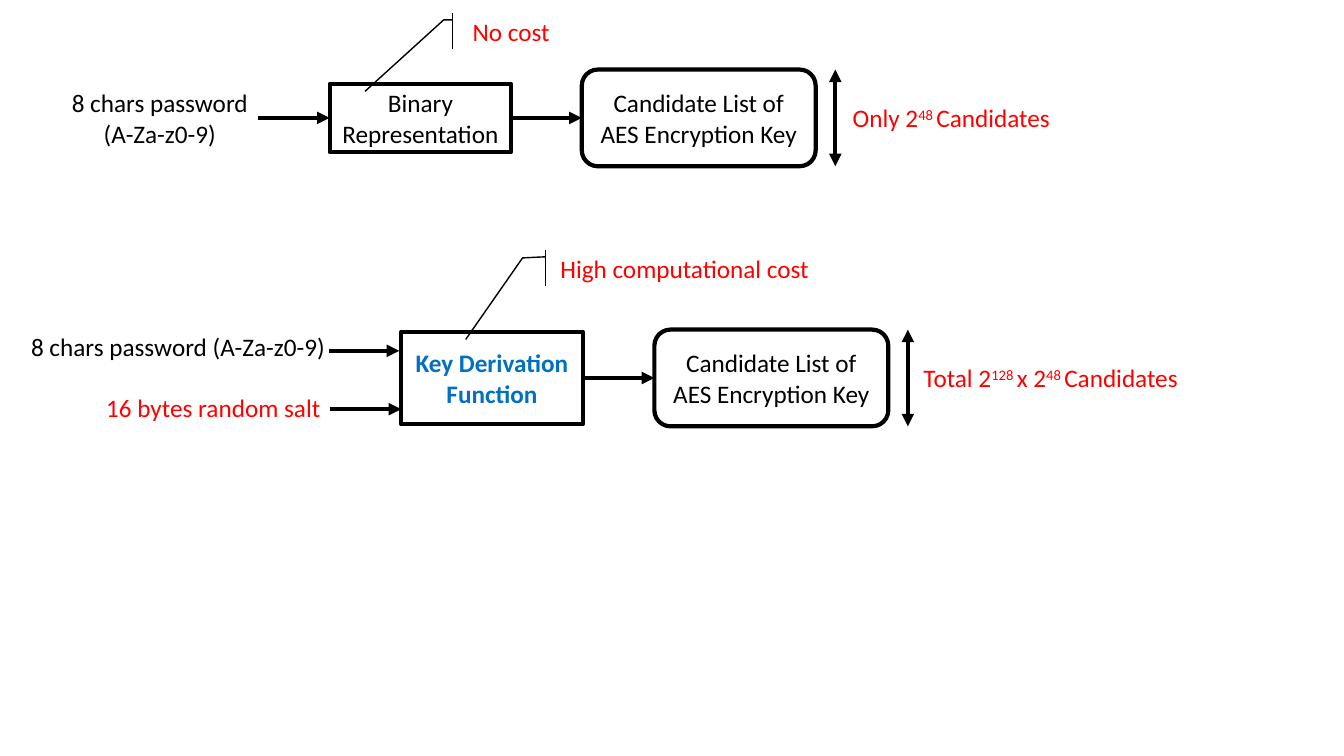
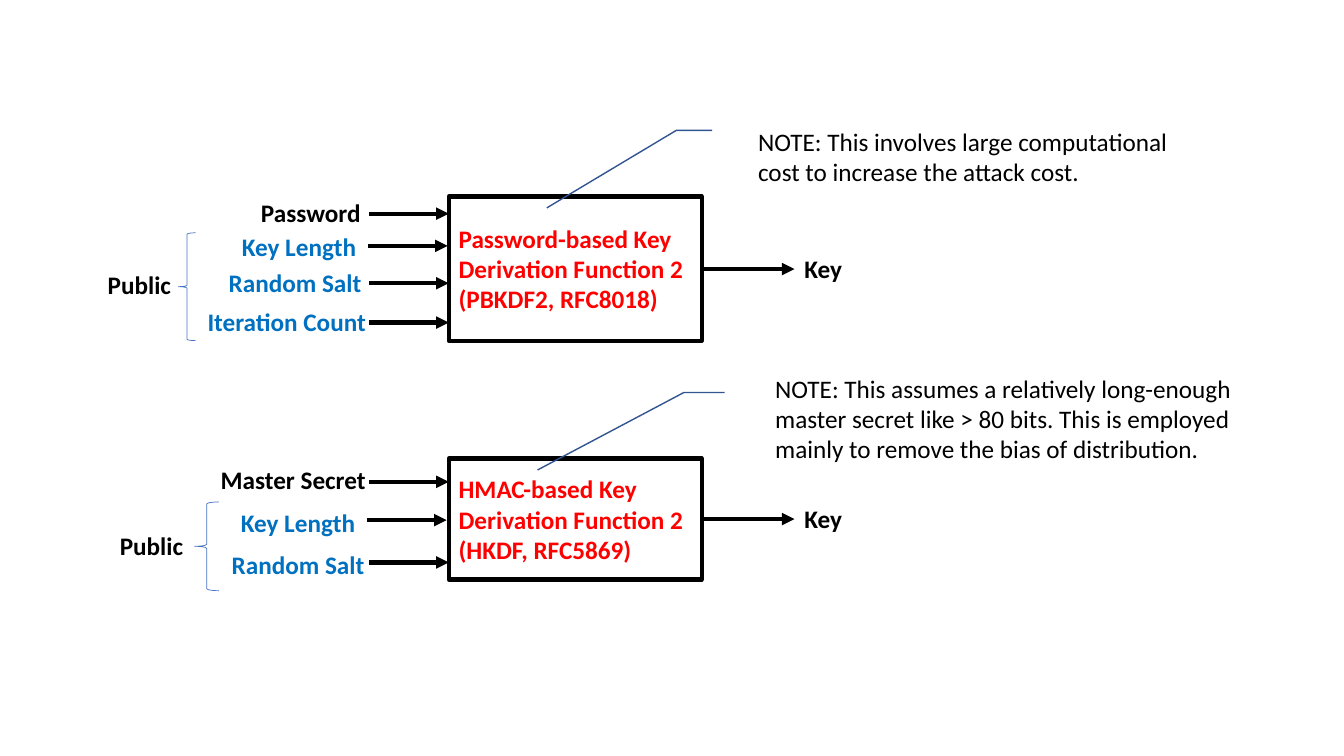
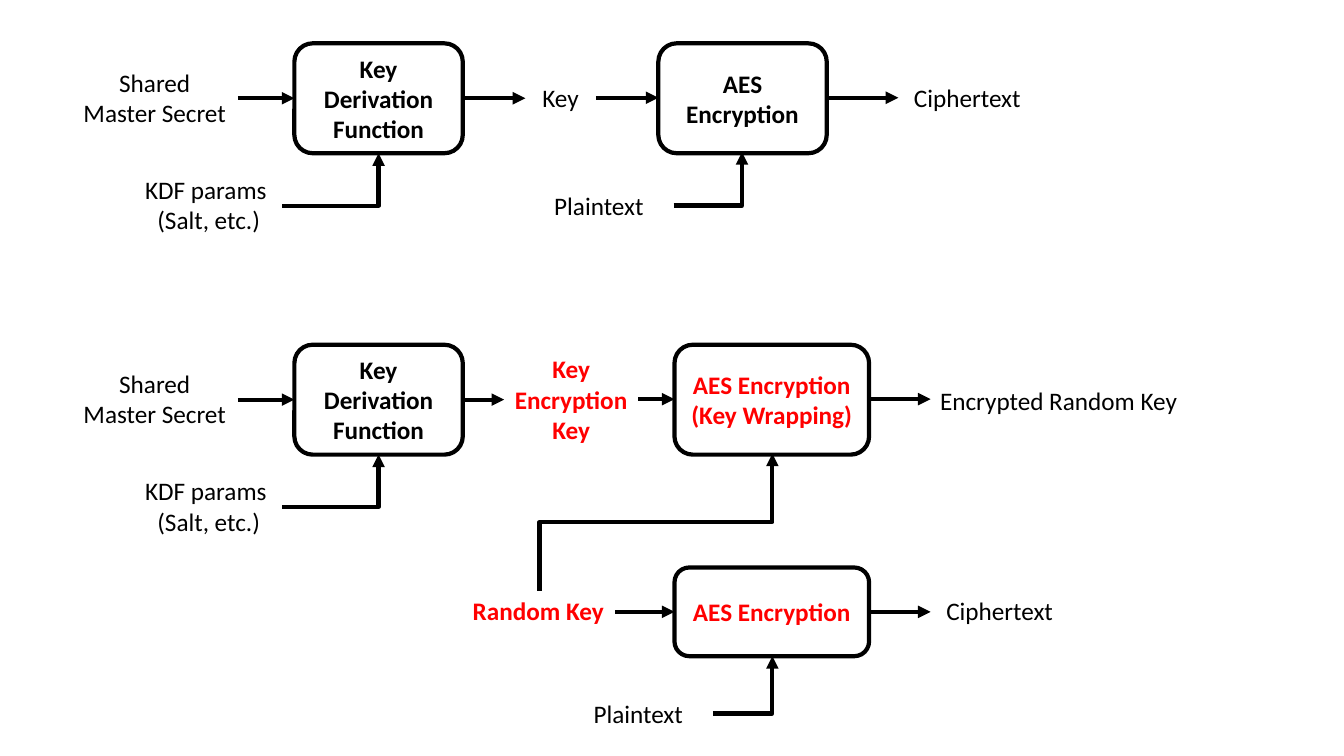
"""Build three slides of diagrams about deriving and wrapping encryption keys."""
from dataclasses import dataclass
from typing import Optional, Union

import lxml.etree
import pptx
import pptx.dml.color
import pptx.enum.shapes
import pptx.enum.text
import pptx.oxml.ns
import pptx.util

SHAPE = pptx.enum.shapes.MSO_SHAPE
CONNECTOR = pptx.enum.shapes.MSO_CONNECTOR
LEFT = pptx.enum.text.PP_ALIGN.LEFT
CENTER = pptx.enum.text.PP_ALIGN.CENTER
HEIGHT = pptx.util.Inches(7.5)
WIDTH = pptx.util.Inches(13.33)
ROWS = 75


@dataclass(frozen=True)
class Theme:
    """Colours, type and line weights of the deck."""

    ink: str = "000000"
    alert: str = "FF0000"
    accent: str = "0070C0"
    paper: str = "FFFFFF"
    leader: str = "325491"
    brace: str = "4472C4"
    font: str = "Calibri"
    size: float = 18
    heavy: float = 3
    thin: float = 1
    hair: float = 0.5


THEME = Theme()


@dataclass(frozen=True)
class Node:
    """A shape, or a text box where no shape is given, in grid steps."""

    x: float
    y: float
    w: float
    h: float
    text: str = ""
    shape: Optional[SHAPE] = None
    color: str = THEME.ink
    bold: bool = False
    align: pptx.enum.text.PP_ALIGN = CENTER
    wrap: bool = True
    fill: str = ""
    line: str = THEME.ink
    weight: float = THEME.heavy
    adj: tuple[float, ...] = ()


@dataclass(frozen=True)
class Arrow:
    """An arrow in grid steps; bends is the number of corners."""

    x1: float
    y1: float
    x2: float
    y2: float
    both: bool = False
    bends: int = 0


@dataclass(frozen=True)
class Feed:
    """A labelled input of a key derivation function."""

    x: float
    y: float
    w: float
    text: str
    arrow_y: float
    color: str = THEME.accent
    shift: float = 0
    wrap: bool = False


Item = Union[Node, Arrow]


def grid(*steps: float) -> list[int]:
    """Turn grid steps into slide lengths."""
    return [round(step * HEIGHT / ROWS) for step in steps]


def rgb(color: str) -> pptx.dml.color.RGBColor:
    """Give the colour object of a hex value."""
    return pptx.dml.color.RGBColor.from_string(color)


def write(tf: pptx.text.text.TextFrame, node: Node) -> None:
    """Write text where ^ encloses superscript and a vertical tab breaks a line."""
    style = {"name": THEME.font, "size": pptx.util.Pt(THEME.size), "bold": node.bold}
    for i, paragraph in enumerate(node.text.split("\n")):
        p = tf.add_paragraph() if i else tf.paragraphs[0]
        p.alignment = node.align
        for j, row in enumerate(paragraph.split("\v")):
            if j:
                p.add_line_break()
            for k, piece in enumerate(row.split("^")):
                r = p.add_run()
                r.text = piece
                for key, value in style.items():
                    setattr(r.font, key, value)
                r.font.color.rgb = rgb(node.color)
                if k % 2:
                    r._r.get_or_add_rPr().set("baseline", "30000")


def draw_node(s: pptx.slide.Slide, node: Node) -> None:
    """Draw a shape or a text box."""
    box = grid(node.x, node.y, node.w, node.h)
    if node.shape is None:
        sp = s.shapes.add_textbox(*box)
        frame = {"auto_size": pptx.enum.text.MSO_AUTO_SIZE.SHAPE_TO_FIT_TEXT}
    else:
        sp = s.shapes.add_shape(node.shape, *box)
        sp.shadow.inherit = False
        sp.line.color.rgb = rgb(node.line)
        sp.line.width = pptx.util.Pt(node.weight)
        if node.fill:
            sp.fill.solid()
            sp.fill.fore_color.rgb = rgb(node.fill)
        else:
            sp.fill.background()
        for i, value in enumerate(node.adj):
            sp.adjustments[i] = value
        frame = {"vertical_anchor": pptx.enum.text.MSO_ANCHOR.MIDDLE}
    if node.text:
        for key, value in {"word_wrap": node.wrap, **frame}.items():
            setattr(sp.text_frame, key, value)
        write(sp.text_frame, node)


def draw_arrow(s: pptx.slide.Slide, arrow: Arrow) -> None:
    """Draw a straight arrow, or one with one or two corners."""
    ends = (arrow.x1, arrow.y1, arrow.x2, arrow.y2)
    if arrow.bends == 2:
        cx, cy = (arrow.x1 + arrow.x2) / 2, (arrow.y1 + arrow.y2) / 2
        dx, dy = abs(arrow.x2 - arrow.x1) / 2, abs(arrow.y2 - arrow.y1) / 2
        ends = (cx + dy, cy + dx, cx - dy, cy - dx)
    kind = CONNECTOR.ELBOW if arrow.bends else CONNECTOR.STRAIGHT
    c = s.shapes.add_connector(kind, *grid(*ends))
    c.line.color.rgb = rgb(THEME.ink)
    c.line.width = pptx.util.Pt(THEME.heavy)
    qn = pptx.oxml.ns.qn
    props = c._element.spPr
    if arrow.bends == 1:
        props.find(qn("a:prstGeom")).set("prst", "bentConnector2")
    if arrow.bends == 2:
        props.find(qn("a:xfrm")).set("rot", str(90 * 60000))
    for tag in ("a:headEnd", "a:tailEnd") if arrow.both else ("a:tailEnd",):
        lxml.etree.SubElement(props.find(qn("a:ln")), qn(tag), type="triangle")
    lxml.etree.SubElement(props, qn("a:effectLst"))


def label(x: float, y: float, w: float, text: str, h: float = 4, **style) -> Node:
    """Describe a text box."""
    return Node(x, y, w, h, text, **style)


def rounded(x: float, y: float, w: float, h: float, text: str, color: str = THEME.ink) -> Node:
    """Describe a white rounded box with bold text."""
    return Node(x, y, w, h, text, SHAPE.ROUNDED_RECTANGLE, color, True, fill=THEME.paper)


def candidates(x: float, y: float, count: Node) -> list[Item]:
    """Describe a list of candidate keys with its extent and count."""
    w, h, gap = 23.2, 9.6, 1.95
    return [
        Node(x, y, w, h, "Candidate List of AES Encryption Key", SHAPE.ROUNDED_RECTANGLE),
        count,
        Arrow(x + w + gap, y, x + w + gap, y + h, both=True),
    ]


def cost(x: float, y: float, w: float, text: str, adj: tuple[float, ...]) -> Node:
    """Describe a red remark with an accent bar and a leader."""
    return Node(x, y, w, 3.6, text, SHAPE.LINE_CALLOUT_2_ACCENT_BAR, THEME.alert,
                weight=THEME.thin, adj=adj)


def function_panel(y: float, h: float, name: str, feeds: list[Feed], key_y: float,
                   note: Node, brace: Node, public: tuple[float, float]) -> list[Item]:
    """Describe a key derivation function with its inputs, key and note."""
    x, w, run = 44.5, 25.1, 7.9
    bold = {"bold": True, "align": LEFT}
    items: list[Item] = [Node(x, y, w, h, name, SHAPE.RECTANGLE, THEME.alert, **bold)]
    for f in feeds:
        tip = x - f.shift
        items += [
            Arrow(tip - run, f.arrow_y, tip, f.arrow_y),
            label(f.x, f.y, f.w, f.text, color=f.color, wrap=f.wrap, **bold),
        ]
    return items + [
        label(78.8, key_y - 2.1, 5.8, "Key", wrap=False, **bold),
        Arrow(x + w, key_y, 78.8, key_y),
        note,
        brace,
        label(*public, 8.3, "Public", wrap=False, **bold),
    ]


def note(x: float, y: float, w: float, text: str) -> Node:
    """Describe a note with a leader."""
    return Node(x, y, w, 8.2, text, SHAPE.LINE_CALLOUT_2_NO_BORDER, align=LEFT,
                line=THEME.leader, weight=THEME.thin)


def brace(x: float, y: float, w: float, h: float) -> Node:
    """Describe the brace that gathers public inputs."""
    return Node(x, y, w, h, shape=SHAPE.LEFT_BRACE, line=THEME.brace, weight=THEME.hair)


def derivation(y: float, key_x: float) -> list[Item]:
    """Describe a derivation from a shared secret that ends at key_x."""
    x, w, h = 29.2, 16.7, 10.9
    mid = y + h / 2
    return [
        label(7, y + 1.85, 16.7, "Shared Master Secret", 7.1),
        rounded(x, y, w, h, "Key Derivation Function"),
        Arrow(23.6, mid, x, mid),
        Arrow(x + w, mid, key_x, mid),
        Arrow(28, y + 16.1, x + w / 2, y + h, bends=1),
        label(13.3, y + 12.5, 14.8, "KDF params \n(Salt, etc.)", 7.1, wrap=False),
    ]


def plaintext(x: float, y: float, tip_x: float, tip_y: float) -> list[Item]:
    """Describe the plaintext that enters an encryption box from below."""
    w = 14.8
    return [label(x, y, w, "Plaintext"), Arrow(x + w, y + 2, tip_x, tip_y, bends=1)]


SLIDES: list[list[Item]] = [
    [
        *candidates(57.7, 6.9, label(83.3, 9.7, 22.1, "Only 2^48 ^Candidates",
                                     color=THEME.alert, wrap=False)),
        Node(32.7, 8.3, 18, 6.8, "Binary Representation", SHAPE.RECTANGLE),
        Arrow(50.7, 11.7, 57.7, 11.7),
        label(6, 8.2, 19.7, "8 chars password\v(A-Za-z0-9)", 7.1, wrap=False),
        Arrow(25.6, 11.7, 32.7, 11.7),
        cost(45.7, 1.3, 10, "No cost", (0.19, -0.08, 0.19, -0.17, 2.16, -0.95)),
        *candidates(64.9, 32.7, label(90.1, 35.5, 28.2, "Total 2^128 ^x 2^48 ^Candidates",
                                      color=THEME.alert, wrap=False)),
        Node(39.8, 32.9, 18, 9.2, "Key Derivation Function", SHAPE.RECTANGLE,
             THEME.accent, True),
        Arrow(57.7, 37.5, 64.9, 37.5),
        label(0.6, 32.4, 34.1, "8 chars password (A-Za-z0-9)"),
        Arrow(32.6, 34.8, 39.6, 34.8),
        cost(53.8, 24.8, 28.2, "High computational cost",
             (0.19, 0.01, 0.22, -0.07, 2.47, -0.27)),
        Arrow(32.7, 40.6, 39.8, 40.6),
        label(9.4, 38.4, 23.5, "16 bytes random salt", color=THEME.alert, wrap=False),
    ],
    [
        *function_panel(
            19.5, 14.3, "Password-based Key Derivation Function 2 (PBKDF2, RFC8018)",
            [
                Feed(24.9, 19.1, 12, "Password", 21.2, THEME.ink),
                Feed(23, 22.5, 13.5, "Key Length", 24.4, shift=0.1, wrap=True),
                Feed(21.7, 26, 16.9, "Random Salt", 28.1, wrap=True),
                Feed(19.6, 29.9, 17.9, "Iteration Count", 32),
            ],
            26.7,
            note(74.2, 11.4, 42.8, "NOTE: This involves large computational cost "
                 "to increase the attack cost."),
            brace(17.7, 23.1, 1.7, 10.7), (9.7, 26.2)),
        *function_panel(
            45.5, 12, "HMAC-based Key Derivation Function 2 (HKDF, RFC5869)",
            [
                Feed(20.9, 45.6, 16.5, "Master Secret", 47.8, THEME.ink),
                Feed(22.9, 49.8, 13.5, "Key Length", 51.6, shift=0.2, wrap=True),
                Feed(22, 54, 15.3, "Random Salt", 55.8),
            ],
            51.5,
            note(75.9, 37.4, 48.4, "NOTE: This assumes a relatively long-enough master "
                 "secret like > 80 bits. This is employed mainly to remove the bias "
                 "of distribution."),
            brace(19.3, 49.8, 2.4, 8.8), (10.9, 52.1)),
    ],
    [
        *derivation(4.3, 52.1),
        rounded(65.3, 4.3, 16.7, 10.9, "AES\nEncryption"),
        Arrow(81.9, 9.7, 89.1, 9.7),
        label(52.1, 7.7, 7, "Key"),
        Arrow(59.1, 9.7, 65.3, 9.7),
        *plaintext(52, 18.4, 73.6, 15.1),
        label(89.1, 7.7, 13.7, "Ciphertext"),
        *derivation(34.2, 50),
        rounded(66.9, 56.3, 19.3, 8.8, "AES Encryption", THEME.alert),
        Arrow(86.3, 60.7, 92.3, 60.7),
        label(50, 34.6, 13.3, "Key Encryption\vKey", 10.1, color=THEME.alert, bold=True),
        Arrow(61, 60.7, 66.9, 60.7),
        *plaintext(55.9, 68.8, 76.6, 65.1),
        label(92.3, 58.6, 13.7, "Ciphertext"),
        rounded(66.9, 34.2, 19.3, 10.9, "AES Encryption (Key Wrapping)", THEME.alert),
        Arrow(63.3, 39.6, 66.9, 39.6),
        label(45.9, 58.6, 15.1, "Random Key", color=THEME.alert, bold=True, align=LEFT,
              wrap=False),
        Arrow(86.3, 39.6, 92.3, 39.6),
        label(92.2, 37.7, 25.6, "Encrypted Random Key"),
        Arrow(53.5, 58.6, 76.6, 45, bends=2),
    ],
]


def main() -> None:
    """Draw every slide and save the deck."""
    prs = pptx.Presentation()
    prs.slide_width, prs.slide_height = WIDTH, HEIGHT
    blank = prs.slide_layouts[6]
    for items in SLIDES:
        s = prs.slides.add_slide(blank)
        for item in items:
            if isinstance(item, Arrow):
                draw_arrow(s, item)
            else:
                draw_node(s, item)
    prs.save("out.pptx")


if __name__ == "__main__":
    main()
